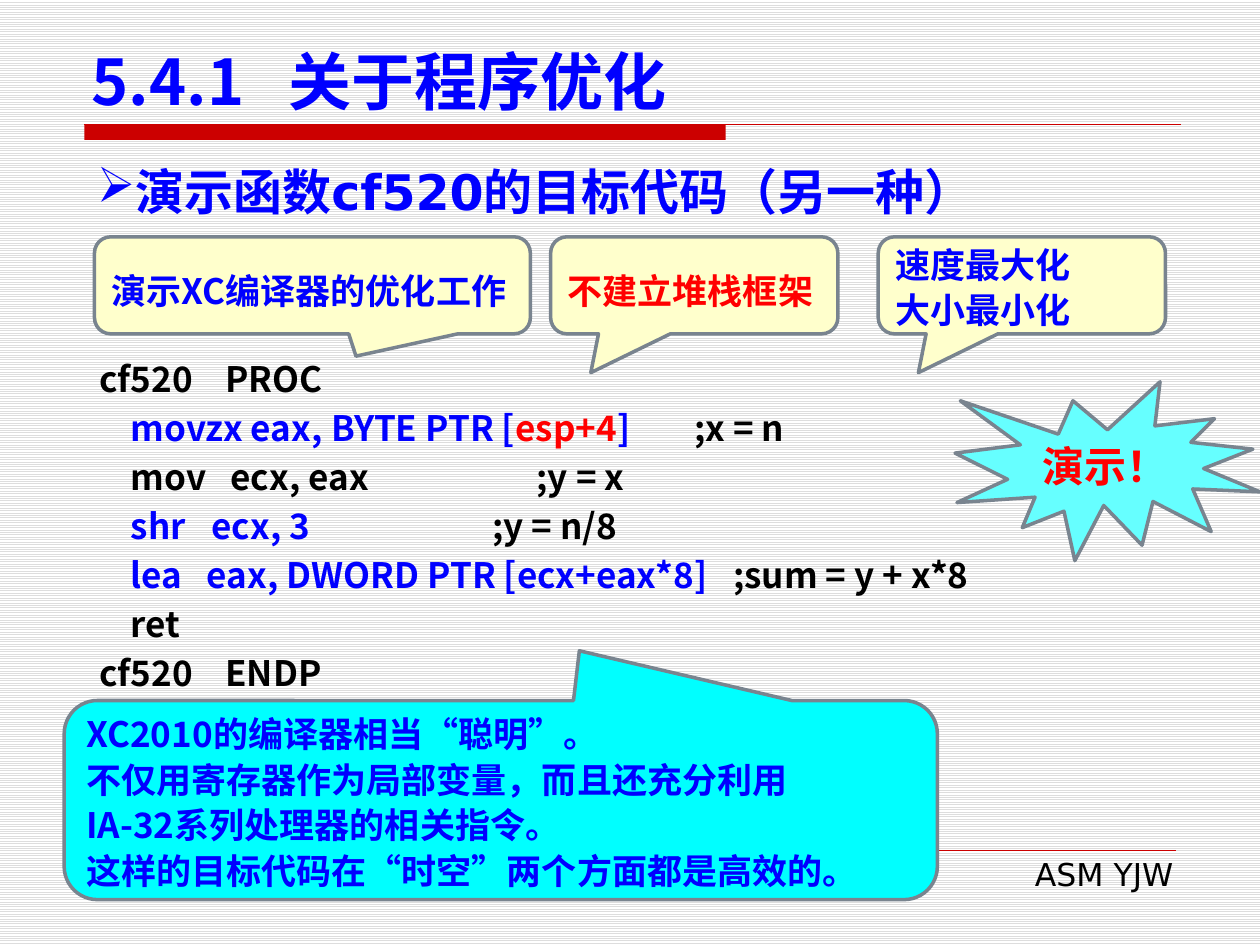
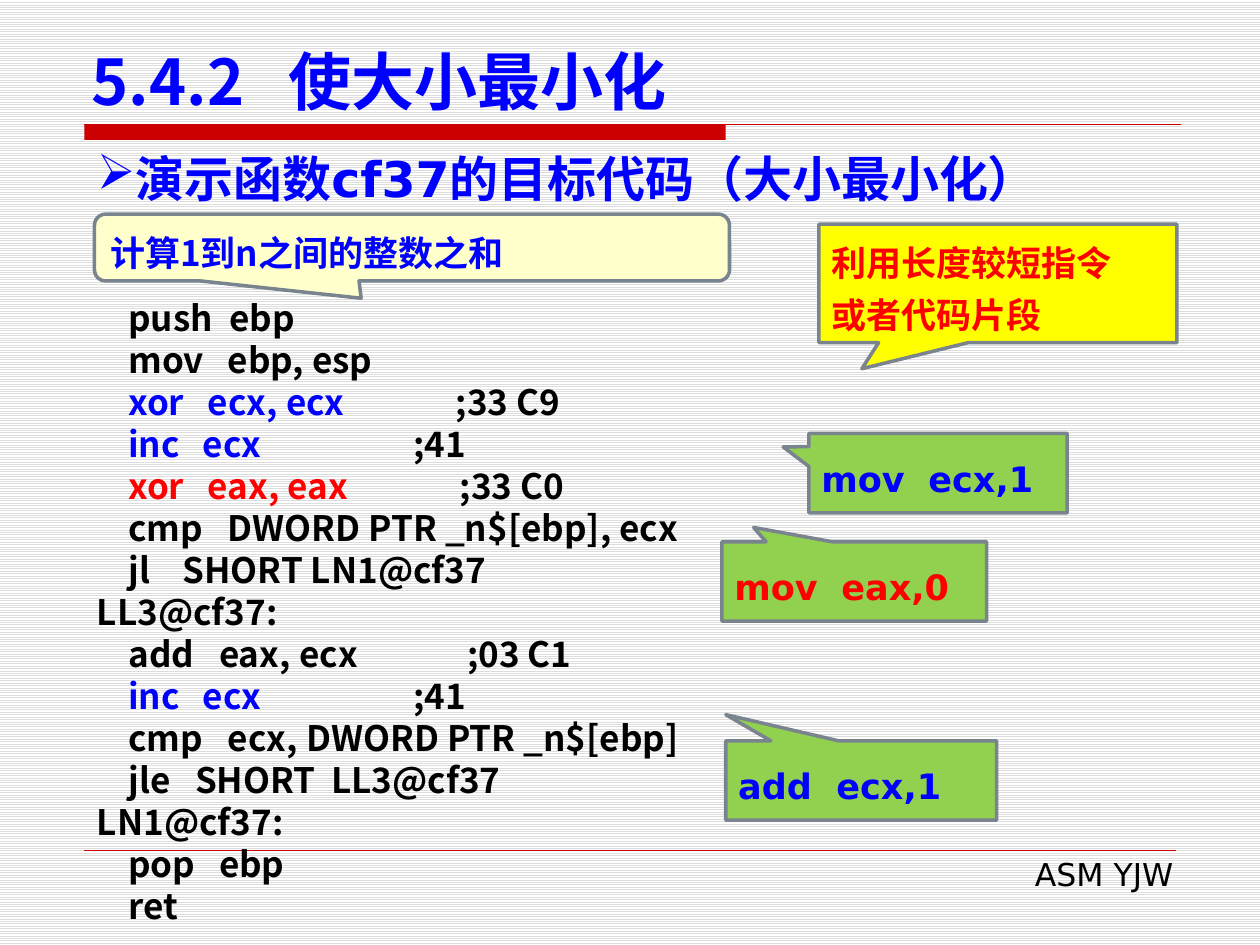
from lxml import etree
from pptx import Presentation
from pptx.dml.color import RGBColor
from pptx.enum.dml import MSO_PATTERN
from pptx.enum.shapes import MSO_CONNECTOR, MSO_SHAPE
from pptx.enum.text import MSO_ANCHOR, PP_ALIGN
from pptx.oxml.ns import qn
from pptx.util import Inches, Pt

BLACK = RGBColor(0x00, 0x00, 0x00)
WHITE = RGBColor(0xFF, 0xFF, 0xFF)
BLUE = RGBColor(0x00, 0x00, 0xFF)
RED = RGBColor(0xFF, 0x00, 0x00)
BAND_RED = RGBColor(0xCC, 0x00, 0x00)
STRIPE = RGBColor(0xDD, 0xDD, 0xDD)
OUTLINE = RGBColor(0x79, 0x84, 0x8F)
CREAM = RGBColor(0xFF, 0xFF, 0xCC)
YELLOW = RGBColor(0xFF, 0xFF, 0x00)
GREEN = RGBColor(0x92, 0xD0, 0x50)
CYAN = RGBColor(0x00, 0xFF, 0xFF)
PALE_CYAN = RGBColor(0x66, 0xFF, 0xFF)

CJK = "Noto Sans CJK SC"
LATIN = "DejaVu Sans"
ROUND = MSO_SHAPE.ROUNDED_RECTANGULAR_CALLOUT
SQUARE = MSO_SHAPE.RECTANGULAR_CALLOUT
BURST = MSO_SHAPE.EXPLOSION1
RECTANGLE = MSO_SHAPE.RECTANGLE
STRAIGHT = MSO_CONNECTOR.STRAIGHT
STRIPES = MSO_PATTERN.LIGHT_HORIZONTAL
TOP, MIDDLE, BOTTOM = MSO_ANCHOR.TOP, MSO_ANCHOR.MIDDLE, MSO_ANCHOR.BOTTOM
LEFT, CENTER, RIGHT = PP_ALIGN.LEFT, PP_ALIGN.CENTER, PP_ALIGN.RIGHT
JUSTIFY = PP_ALIGN.JUSTIFY

prs = Presentation()
prs.slide_width, prs.slide_height = Inches(10), Inches(7.5)
CELL = prs.slide_width / 100


def grid(*cells):
    return [round(cell * CELL) for cell in cells]


def add_text(slide, box, lines, outline=None, tail=(), fill=None, font=CJK, size=20,
             color=BLACK, bold=True, leading=None, align=LEFT, anchor=TOP, bullet=None):
    if outline is None:
        shape = slide.shapes.add_textbox(*grid(*box))
    else:
        shape = slide.shapes.add_shape(outline, *grid(*box))
        shape.shadow.inherit = False
        shape.fill.solid()
        shape.fill.fore_color.rgb = fill
        shape.line.color.rgb = OUTLINE
        shape.line.width = Pt(2)
        for index, value in enumerate(tail):
            shape.adjustments[index] = value
    frame = shape.text_frame
    frame.word_wrap = True
    frame.vertical_anchor = anchor
    for index, (stops, *runs) in enumerate(lines):
        paragraph = frame.paragraphs[0] if index == 0 else frame.add_paragraph()
        paragraph.alignment = align
        if leading:
            paragraph.line_spacing = Pt(leading)
        properties = paragraph._p.get_or_add_pPr()
        if bullet:
            etree.SubElement(properties, qn("a:buChar"), char=bullet)
        if stops:
            tabs = etree.SubElement(properties, qn("a:tabLst"))
            for stop in grid(*stops):
                etree.SubElement(tabs, qn("a:tab"), pos=str(stop), algn="l")
        for part in runs:
            words, part_color = (part, color) if isinstance(part, str) else part
            run = paragraph.add_run()
            run.text = words
            run.font.name = font
            run.font.size = Pt(size)
            run.font.bold = bold
            run.font.color.rgb = part_color
            etree.SubElement(run._r.get_or_add_rPr(), qn("a:ea"), typeface=CJK)


INDENT = 2.5

optimised_code = [
    ([10], "cf520\tPROC"),
    ([INDENT, 47.2], ("\tmovzx eax, BYTE PTR [", BLUE), ("esp+4", RED), ("]", BLUE), "\t;x = n"),
    ([INDENT, 10.4, 34.7], "\tmov\tecx, eax\t;y = x"),
    ([INDENT, 8.9, 31.2], ("\tshr\tecx, 3", BLUE), "\t;y = n/8"),
    ([INDENT, 8.5, 50.3], ("\tlea\teax, DWORD PTR [ecx+eax*8]", BLUE), "\t;sum = y + x*8"),
    ([INDENT], "\tret"),
    ([10], "cf520\tENDP"),
]
increment = ([INDENT, 8.4, 25.1], ("\tinc\tecx", BLUE), "\t;41")
smallest_code = [
    ([INDENT, 10.5], "\tpush\tebp"),
    ([INDENT, 10.4], "\tmov\tebp, esp"),
    ([INDENT, 8.8, 28.5], ("\txor\tecx, ecx", BLUE), "\t;33 C9"),
    increment,
    ([INDENT, 8.8, 28.8], ("\txor\teax, eax", RED), "\t;33 C0"),
    ([INDENT, 10.4], "\tcmp\tDWORD PTR _n$[ebp], ecx"),
    ([INDENT, 6.8], "\tjl\tSHORT LN1@cf37"),
    ([], "LL3@cf37:"),
    ([INDENT, 9.7, 29.4], "\tadd\teax, ecx\t;03 C1"),
    increment,
    ([INDENT, 10.4], "\tcmp\tecx, DWORD PTR _n$[ebp]"),
    ([INDENT, 7.8, 18.6], "\tjle\tSHORT\tLL3@cf37"),
    ([], "LN1@cf37:"),
    ([INDENT, 9.7], "\tpop\tebp"),
    ([INDENT], "\tret"),
]

lessons = [
    dict(
        title="5.4.1\t关于程序优化",
        topic="演示函数cf520的目标代码（另一种）", topic_row=12.3,
        code=optimised_code, code_box=(6.9, 27.3, 88.8, 28.5), code_leading=28,
        remarks=[
            dict(box=(7.5, 18.8, 34.6, 7.7), lines=[([], "演示XC编译器的优化工作")],
                 outline=ROUND, tail=(0.1, 0.73), fill=CREAM),
            dict(box=(43.7, 18.8, 22.8, 7.7), lines=[([], "不建立堆栈框架")],
                 outline=ROUND, tail=(-0.36, 0.9), fill=CREAM, color=RED),
            dict(box=(69.7, 18.8, 22.8, 7.7), lines=[([], "速度最大化"), ([], "大小最小化")],
                 outline=ROUND, tail=(-0.36, 0.9), fill=CREAM, leading=26),
            dict(box=(75.8, 30.3, 24.2, 14.2), lines=[([], "演示！")], outline=BURST,
                 fill=PALE_CYAN, color=RED, font=LATIN, size=24, leading=None, align=CENTER),
            dict(box=(5.1, 55.6, 69.3, 15.8), outline=ROUND, tail=(0.09, -0.75), fill=CYAN,
                 leading=26, lines=[
                     ([], "XC2010的编译器相当“聪明”。"),
                     ([], "不仅用寄存器作为局部变量，而且还充分利用"),
                     ([], "IA-32系列处理器的相关指令。"),
                     ([], "这样的目标代码在“时空”两个方面都是高效的。")]),
        ],
    ),
    dict(
        title="5.4.2\t使大小最小化",
        topic="演示函数cf37的目标代码（大小最小化）", topic_row=11.3,
        code=smallest_code, code_box=(6.7, 23, 79.5, 51.5), code_leading=24,
        remarks=[
            dict(box=(7.5, 17, 50.4, 5.3), lines=[([], "计算1到n之间的整数之和")],
                 outline=ROUND, tail=(-0.08, 0.76), fill=CREAM),
            dict(box=(64.2, 34.4, 20.5, 6.3), lines=[([8.5], "mov\tecx,1")],
                 outline=SQUARE, tail=(-0.6, -0.33), fill=GREEN, font=LATIN),
            dict(box=(57.3, 43, 21, 6.3), lines=[([8.5], "mov\teax,0")],
                 outline=SQUARE, tail=(-0.38, -0.68), fill=GREEN, font=LATIN, color=RED),
            dict(box=(57.6, 58.8, 21.5, 6.3), lines=[([7.8], "add\tecx,1")],
                 outline=SQUARE, tail=(-0.5, -0.83), fill=GREEN, font=LATIN),
            dict(box=(65, 17.8, 28.4, 9.4), lines=[([], "利用长度较短指令"), ([], "或者代码片段")],
                 outline=SQUARE, tail=(-0.38, 0.72), fill=YELLOW, color=RED),
        ],
    ),
]

remark_style = dict(color=BLUE, leading=30, anchor=MIDDLE)

for lesson in lessons:
    slide = prs.slides.add_slide(prs.slide_layouts[6])
    backdrop = slide.background.fill
    backdrop.patterned()
    backdrop.pattern = STRIPES
    backdrop.fore_color.rgb = STRIPE
    backdrop.back_color.rgb = WHITE

    title_band = slide.shapes.add_shape(RECTANGLE, *grid(6.7, 9.9, 50.9, 1.2))
    title_band.shadow.inherit = False
    title_band.fill.solid()
    title_band.fill.fore_color.rgb = BAND_RED
    title_band.line.fill.background()
    for row, right, weight in ((9.9, 93.7, 0.75), (67.5, 93.3, 0.25)):
        rule = slide.shapes.add_connector(STRAIGHT, *grid(6.7, row, right, row))
        rule.line.color.rgb = BAND_RED
        rule.line.width = Pt(weight)
        etree.SubElement(rule._element.spPr, qn("a:effectLst"))
    add_text(slide, (38.2, 67.4, 55.9, 4), [([], "ASM YJW")],
             font=LATIN, size=18, bold=False, align=RIGHT)

    add_text(slide, (6.3, 3.3, 87.5, 6.6), [([15.6], lesson["title"])],
             size=36, color=BLUE, anchor=BOTTOM)
    add_text(slide, (6.7, lesson["topic_row"], 86.6, 5.7), [([], lesson["topic"])],
             font=LATIN, size=28, color=BLUE, align=JUSTIFY, bullet="➢")
    add_text(slide, lesson["code_box"], lesson["code"], leading=lesson["code_leading"])
    for remark in lesson["remarks"]:
        add_text(slide, **(remark_style | remark))

prs.save("out.pptx")
